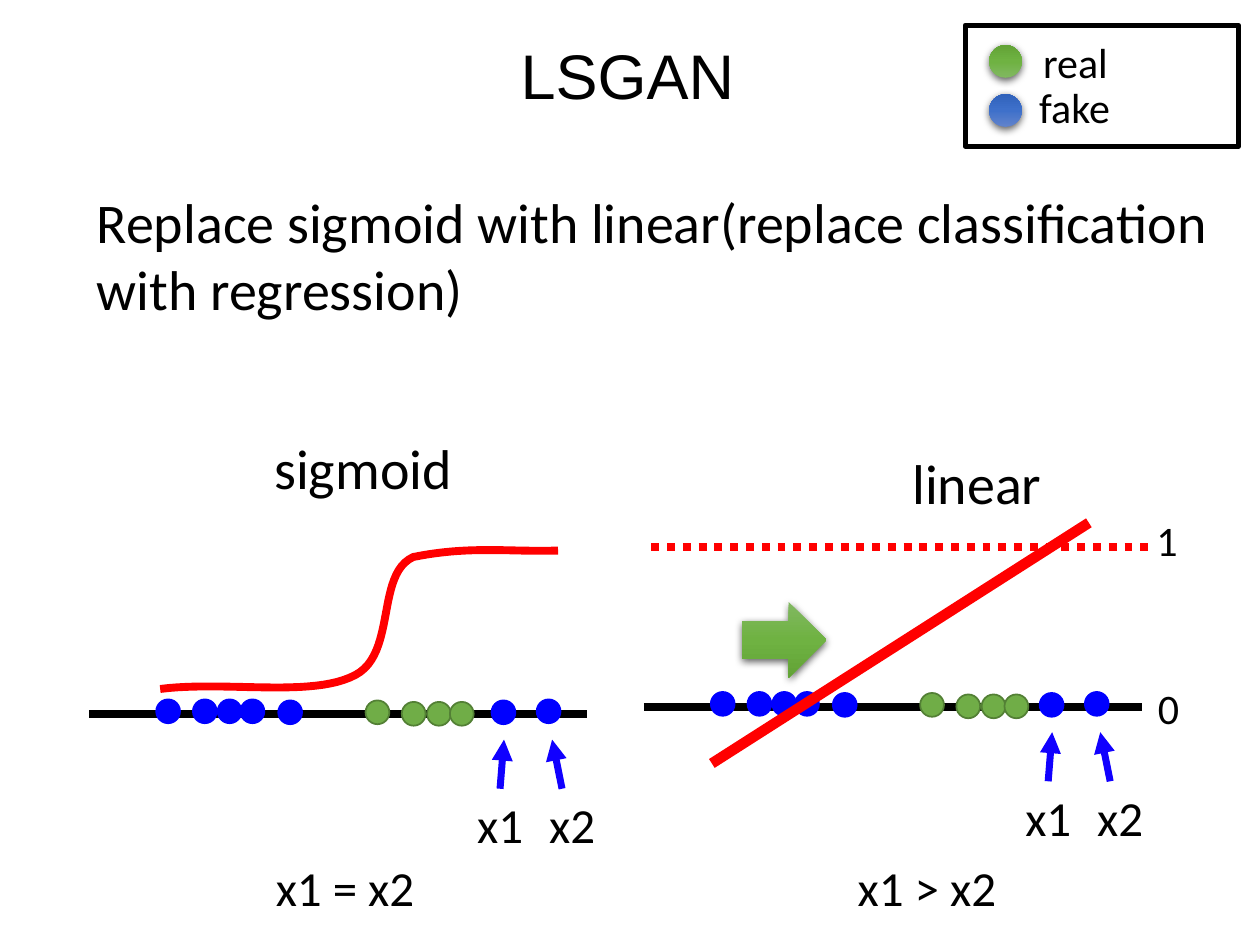
import copy

import lxml.etree
import pptx
import pptx.dml.color
import pptx.enum.dml
import pptx.enum.shapes
import pptx.enum.text
import pptx.oxml
import pptx.oxml.ns
import pptx.util

Cm = pptx.util.Cm
Pt = pptx.util.Pt
RGB = pptx.dml.color.RGBColor
SHAPE = pptx.enum.shapes.MSO_SHAPE
qn = pptx.oxml.ns.qn

BLACK = RGB(0x00, 0x00, 0x00)
RED = RGB(0xFF, 0x00, 0x00)
BLUE = RGB(0x00, 0x00, 0xFF)
POINTER_BLUE = RGB(0x11, 0x00, 0xFF)
GREEN = RGB(0x70, 0xAD, 0x47)
DARK_GREEN = RGB(0x53, 0x80, 0x35)
GREEN_BLEND = [RGB(0x81, 0xB8, 0x61), RGB(0x6F, 0xB2, 0x42), RGB(0x62, 0xA3, 0x36)]
BLUE_BLEND = [RGB(0x61, 0x83, 0xCB), RGB(0x3E, 0x70, 0xCA), RGB(0x30, 0x62, 0xBB)]

SHADOW_XML = (
    '<a:effectLst xmlns:a="http://schemas.openxmlformats.org/drawingml/2006/main">'
    '<a:outerShdw blurRad="57150" dist="19050" dir="5400000" algn="ctr" rotWithShape="0">'
    '<a:srgbClr val="000000"><a:alpha val="63000"/></a:srgbClr></a:outerShdw></a:effectLst>'
)

presentation = pptx.Presentation()
presentation.slide_width = Cm(25.4)
presentation.slide_height = Cm(19.05)
slide = presentation.slides.add_slide(presentation.slide_layouts[6])
shapes = slide.shapes


def add_text(words, left, top, width, height, size, font="Calibri", wrap=False, align=None):
    box = shapes.add_textbox(Cm(left), Cm(top), Cm(width), Cm(height))
    box.text_frame.word_wrap = wrap
    paragraph = box.text_frame.paragraphs[0]
    paragraph.alignment = align
    run = paragraph.add_run()
    run.text = words
    run.font.name = font
    run.font.size = Pt(size)
    run.font.color.rgb = BLACK


def add_line(x1, y1, x2, y2, color, width):
    line = shapes.add_connector(
        pptx.enum.shapes.MSO_CONNECTOR.STRAIGHT, Cm(x1), Cm(y1), Cm(x2), Cm(y2))
    line.line.color.rgb = color
    line.line.width = Pt(width)
    lxml.etree.SubElement(line._element.spPr, qn("a:effectLst"))
    return line


add_text("LSGAN", 0, 0.61, 25.3, 1.8, 36, "Arial", True, pptx.enum.text.PP_ALIGN.CENTER)
add_text("Replace sigmoid with linear(replace classification with regression)",
         1.7, 3.66, 23.62, 3, 32, wrap=True)

real_dots = [(7.37, 14.12), (8.1, 14.15), (8.61, 14.15), (9.07, 14.15)]
fake_dots = [(3.15, 14.1), (3.89, 14.1), (4.39, 14.1), (4.85, 14.1), (5.61, 14.12)]
compared_dots = [(9.91, 14.12), (10.82, 14.1)]

for axis_shift, compared_shift, rise in [(0, 0, 0), (11.18, 11.05, 0.15)]:
    add_line(1.8 + axis_shift, 14.4 - rise, 11.84 + axis_shift, 14.4 - rise, BLACK, 4.5)
    for dots, shift, fill, outline in [
        (real_dots, axis_shift, GREEN, DARK_GREEN),
        (fake_dots, axis_shift, BLUE, BLUE),
        (compared_dots, compared_shift, BLUE, BLUE),
    ]:
        for left, top in dots:
            dot = shapes.add_shape(
                SHAPE.OVAL, Cm(left + shift), Cm(top - rise), Cm(0.48), Cm(0.48))
            dot.shadow.inherit = False
            dot.fill.solid()
            dot.fill.fore_color.rgb = fill
            dot.line.color.rgb = outline
            dot.line.width = Pt(1)
    for label, left, tail_x, tip_x in [("x1", 9.37, 10.08, 10.16), ("x2", 10.82, 11.33, 11.13)]:
        add_text(label, left + compared_shift, 15.9 - rise, 1.45, 1.45, 28)
        pointer = add_line(tail_x + compared_shift, 15.9 - rise,
                           tip_x + compared_shift, 14.91 - rise, POINTER_BLUE, 4)
        lxml.etree.SubElement(pointer.line._get_or_add_ln(), qn("a:tailEnd"), type="triangle")

sigmoid_start = (3.23, 13.89)
sigmoid_bends = [
    [(4.55, 13.72), (6.3, 14.07), (7.16, 13.61)],
    [(8, 13.18), (7.57, 11.58), (8.33, 11.23)],
    [(9.47, 11), (10.26, 11.13), (11.25, 11.1)],
]
sigmoid_points = []
bend_start = sigmoid_start
for first, second, end in sigmoid_bends:
    for step in range(1, 25):
        t = step / 24
        sigmoid_points.append(tuple(
            Cm((1 - t) ** 3 * a + 3 * t * (1 - t) ** 2 * b + 3 * t ** 2 * (1 - t) * c + t ** 3 * d)
            for a, b, c, d in zip(bend_start, first, second, end)))
    bend_start = end
sigmoid_builder = shapes.build_freeform(Cm(sigmoid_start[0]), Cm(sigmoid_start[1]))
sigmoid_builder.add_line_segments(sigmoid_points, close=False)
sigmoid_curve = sigmoid_builder.convert_to_shape()
sigmoid_curve.shadow.inherit = False
sigmoid_curve.fill.background()
sigmoid_curve.line.color.rgb = RED
sigmoid_curve.line.width = Pt(4.5)

add_line(14.35, 15.39, 21.95, 10.54, RED, 6)
target = add_line(13.13, 11.02, 23.16, 11.02, RED, 4.5)
target.line.dash_style = pptx.enum.dml.MSO_LINE.ROUND_DOT

for kind, left, top, width, height, blend, flipped in [
    (SHAPE.RIGHT_ARROW, 14.96, 12.14, 1.7, 1.52, GREEN_BLEND, False),
    (SHAPE.OVAL, 19.94, 0.91, 0.66, 0.66, GREEN_BLEND, True),
    (SHAPE.OVAL, 19.94, 1.9, 0.66, 0.66, BLUE_BLEND, True),
]:
    glossy = shapes.add_shape(kind, Cm(left), Cm(top), Cm(width), Cm(height))
    glossy.line.fill.background()
    glossy.fill.gradient()
    glossy.fill.gradient_angle = 270
    stop_list = glossy._element.spPr.find(qn("a:gradFill")).find(qn("a:gsLst"))
    stop_list.insert(1, copy.deepcopy(stop_list[0]))
    for stop, position, color in zip(glossy.fill.gradient_stops, (0, 0.5, 1), blend):
        stop.position = position
        stop.color.rgb = color
    glossy._element.spPr.append(pptx.oxml.parse_xml(SHADOW_XML))
    if flipped:
        glossy._element.spPr.find(qn("a:xfrm")).set("flipV", "1")

legend_frame = shapes.add_shape(SHAPE.RECTANGLE, Cm(19.46), Cm(0.51), Cm(5.51), Cm(2.44))
legend_frame.shadow.inherit = False
legend_frame.fill.background()
legend_frame.line.color.rgb = BLACK
legend_frame.line.width = Pt(3)

for words, left, top, width, height, size in [
    ("real", 20.78, 0.61, 3.68, 1.27, 24),
    ("fake", 20.7, 1.52, 4.27, 1.27, 24),
    ("1", 23.06, 10.24, 1.12, 1.27, 24),
    ("0", 23.09, 13.64, 1.12, 1.27, 24),
]:
    add_text(words, left, top, width, height, size, wrap=True)

for words, left, top, width, height, size in [
    ("sigmoid", 5.28, 8.61, 4.14, 1.63, 32),
    ("linear", 18.14, 8.92, 3.15, 1.63, 32),
    ("x1 = x2", 5.31, 17.17, 3.35, 1.45, 28),
    ("x1 > x2", 17.04, 17.17, 3.35, 1.45, 28),
]:
    add_text(words, left, top, width, height, size)

presentation.save("out.pptx")
